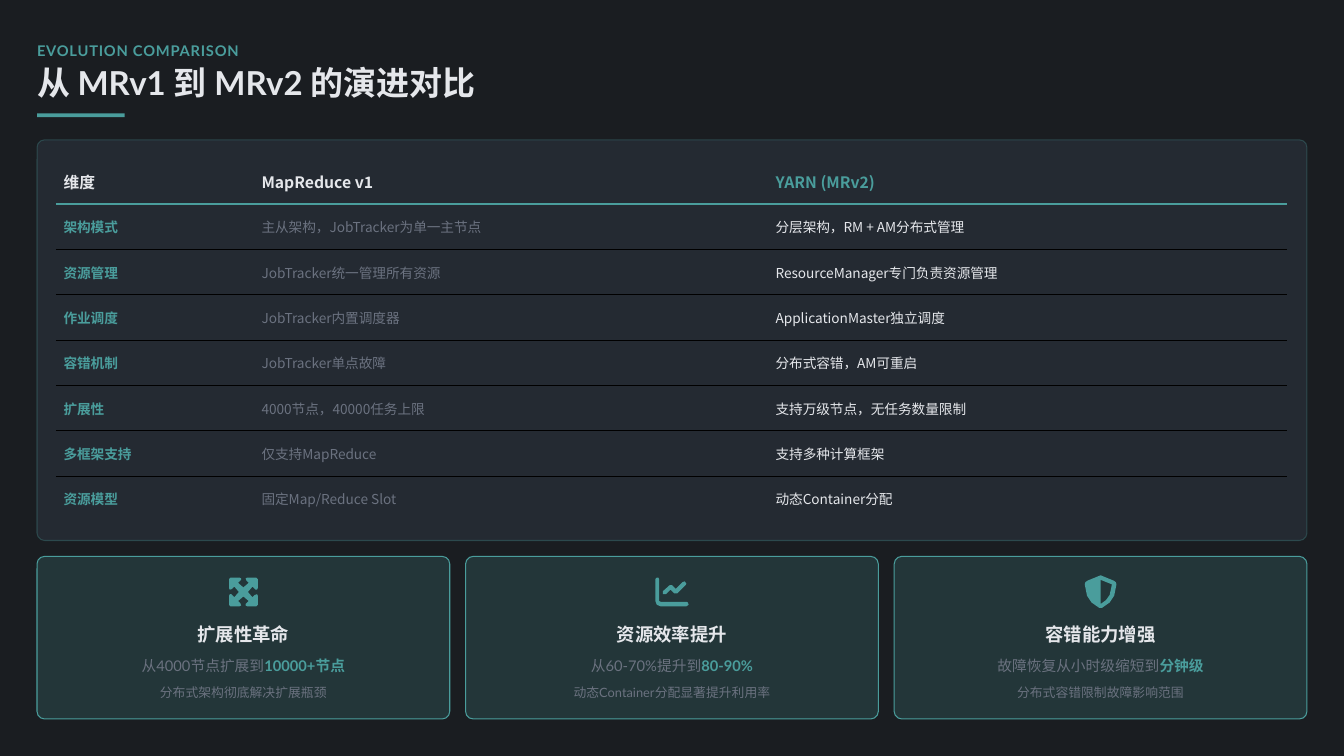
from typing import NamedTuple

from lxml import etree
from pptx import Presentation
from pptx.dml.color import RGBColor
from pptx.enum.shapes import MSO_SHAPE
from pptx.enum.text import MSO_ANCHOR, MSO_AUTO_SIZE, PP_ALIGN
from pptx.oxml.ns import qn
from pptx.util import Inches, Pt

ROUNDED, RECTANGLE = MSO_SHAPE.ROUNDED_RECTANGLE, MSO_SHAPE.RECTANGLE
MIDDLE, FIXED_SIZE = MSO_ANCHOR.MIDDLE, MSO_AUTO_SIZE.NONE
LEFT, CENTER = PP_ALIGN.LEFT, PP_ALIGN.CENTER

COLORS = {
    "background": "1A1D21", "panel": "3D4A5C", "teal": "4A9D9C",
    "light": "E5E7EB", "muted": "6B7280", "rule": "000000",
}
LATIN, CHINESE = "Lato", "Noto Sans CJK SC"
MARGIN, CONTENT_WIDTH = 0.49, 16.8
CARD_WIDTH, CARD_STEP, CARD_TOP = 5.46, 5.67, 7.36

Contour = list[tuple[float, float]]


class Style(NamedTuple):
    size: float
    color: str
    bold: bool = False
    font: str = LATIN


class Span(NamedTuple):
    text: str
    style: Style


class Card(NamedTuple):
    heading: str
    change: str
    result: str
    note: str
    icon: list[Contour]


EYEBROW = Style(14, "teal", True)
TITLE = Style(31.4, "light", True)
HEADING = Style(17.5, "light", True)
CHANGE = Style(14, "muted")
RESULT = Style(14, "teal", True)
NOTE = Style(12.2, "muted")
HEADER_STYLES = [Style(15, color, True, CHINESE) for color in ("light", "light", "teal")]
BODY_STYLES = [
    Style(13, "teal", True, CHINESE),
    Style(13, "muted", False, CHINESE),
    Style(13, "light", False, CHINESE),
]

ROWS = [
    ("维度", "MapReduce v1", "YARN (MRv2)"),
    ("架构模式", "主从架构，JobTracker为单一主节点", "分层架构，RM + AM分布式管理"),
    ("资源管理", "JobTracker统一管理所有资源", "ResourceManager专门负责资源管理"),
    ("作业调度", "JobTracker内置调度器", "ApplicationMaster独立调度"),
    ("容错机制", "JobTracker单点故障", "分布式容错，AM可重启"),
    ("扩展性", "4000节点，40000任务上限", "支持万级节点，无任务数量限制"),
    ("多框架支持", "仅支持MapReduce", "支持多种计算框架"),
    ("资源模型", "固定Map/Reduce Slot", "动态Container分配"),
]
COLUMN_WIDTHS = (2.62, 6.8, 6.87)

# Icon contours are in inches from the icon's centre.
ARROW_ARM = [(0, -0.06), (-0.07, -0.12), (-0.03, -0.16), (-0.03, -0.18), (-0.05, -0.19),
             (-0.17, -0.19), (-0.19, -0.17), (-0.19, -0.05), (-0.18, -0.03),
             (-0.15, -0.04), (-0.12, -0.07)]
EXPAND = [ARROW_ARM
          + [(y, -x) for x, y in ARROW_ARM]
          + [(-x, -y) for x, y in ARROW_ARM]
          + [(-y, x) for x, y in ARROW_ARM]]
CHART = [
    [(-0.17, -0.17), (-0.18, -0.19), (-0.2, -0.19), (-0.22, -0.17), (-0.22, 0.12),
     (-0.2, 0.17), (-0.15, 0.19), (0.19, 0.19), (0.22, 0.17), (0.21, 0.14),
     (0.19, 0.13), (-0.15, 0.13), (-0.17, 0.12)],
    [(0.18, -0.09), (0.19, -0.11), (0.17, -0.14), (0.14, -0.13), (0.05, -0.04),
     (0, -0.09), (-0.03, -0.09), (-0.12, -0.01), (-0.12, 0.03), (-0.08, 0.03),
     (-0.02, -0.03), (0.03, 0.02), (0.07, 0.02)],
]
SHIELD = [
    [(0, -0.22), (0.17, -0.15), (0.2, -0.13), (0.21, -0.1), (0.18, 0.05), (0.12, 0.14),
     (0.02, 0.21), (-0.02, 0.21), (-0.12, 0.14), (-0.18, 0.05), (-0.21, -0.1),
     (-0.2, -0.13), (-0.17, -0.15)],
    [(0, -0.16), (0, 0.16), (0.07, 0.11), (0.12, 0.04), (0.15, -0.1)],
]
CARDS = [
    Card("扩展性革命", "从4000节点扩展到", "10000+节点", "分布式架构彻底解决扩展瓶颈", EXPAND),
    Card("资源效率提升", "从60-70%提升到", "80-90%", "动态Container分配显著提升利用率", CHART),
    Card("容错能力增强", "故障恢复从小时级缩短到", "分钟级", "分布式容错限制故障影响范围", SHIELD),
]


def rgb(name: str) -> RGBColor:
    return RGBColor.from_string(COLORS[name])


def write_para(para, spans: list[Span], align=LEFT, spacing: float = 1.0) -> None:
    para.alignment, para.line_spacing = align, spacing
    for span in spans:
        run = para.add_run()
        run.text = span.text
        style = span.style
        for name, value in {"size": Pt(style.size), "bold": style.bold, "name": style.font}.items():
            setattr(run.font, name, value)
        run.font.color.rgb = rgb(style.color)
        etree.SubElement(run.font._element, qn("a:ea"), typeface=CHINESE)


def write_box(box, spans: list[Span], align=LEFT, spacing: float = 1.0) -> None:
    frame = box.text_frame
    settings = {"word_wrap": True, "auto_size": FIXED_SIZE, "vertical_anchor": MIDDLE,
                "margin_left": 0, "margin_right": 0, "margin_top": 0, "margin_bottom": 0}
    for name, value in settings.items():
        setattr(frame, name, value)
    write_para(frame.paragraphs[0], spans, align, spacing)


def add_text(slide, left: float, top: float, width: float, height: float,
             spans: list[Span], align=LEFT, spacing: float = 1.2):
    box = slide.shapes.add_textbox(Inches(left), Inches(top), Inches(width), Inches(height))
    write_box(box, spans, align, spacing)
    return box


def set_alpha(fill_format, percent: int) -> None:
    color = fill_format._xPr.find(f"{qn('a:solidFill')}/{qn('a:srgbClr')}")
    etree.SubElement(color, qn("a:alpha"), val=str(percent * 1000))


def add_panel(slide, left: float, top: float, width: float, height: float,
              color: str, fill_alpha: int, line_alpha: int = 100) -> None:
    panel = slide.shapes.add_shape(ROUNDED, Inches(left), Inches(top), Inches(width), Inches(height))
    panel.adjustments[0] = 0.1 / min(width, height)
    panel.shadow.inherit = False
    panel.fill.solid()
    panel.fill.fore_color.rgb = rgb(color)
    set_alpha(panel.fill, fill_alpha)
    panel.line.color.rgb = rgb("teal")
    panel.line.width = Pt(1)
    set_alpha(panel.line.fill, line_alpha)


def paint_plain(shape) -> None:
    """Fill a shape teal, with no outline or shadow."""
    shape.shadow.inherit = False
    shape.fill.solid()
    shape.fill.fore_color.rgb = rgb("teal")
    shape.line.fill.background()


def add_icon(slide, center_x: float, center_y: float, contours: list[Contour]) -> None:
    placed = [[(Inches(center_x + x), Inches(center_y + y)) for x, y in contour]
              for contour in contours]
    builder = slide.shapes.build_freeform(*placed[0][0], scale=1.0)
    builder.add_line_segments(placed[0][1:], close=True)
    for contour in placed[1:]:
        builder.move_to(*contour[0])
        builder.add_line_segments(contour[1:], close=True)
    paint_plain(builder.convert_to_shape())


def set_border(cell, side: str, color: str | None = None, width: float = 1) -> None:
    line = etree.SubElement(cell._tc.get_or_add_tcPr(), qn(f"a:ln{side}"), w=str(Pt(width)))
    if color is None:
        etree.SubElement(line, qn("a:noFill"))
    else:
        fill = etree.SubElement(line, qn("a:solidFill"))
        etree.SubElement(fill, qn("a:srgbClr"), val=COLORS[color])


def add_comparison(slide) -> None:
    frame = slide.shapes.add_table(len(ROWS), len(COLUMN_WIDTHS), Inches(0.74), Inches(2.1),
                                   Inches(sum(COLUMN_WIDTHS)), Inches(0.6 * len(ROWS)))
    table = frame.table
    table.first_row = table.horz_banding = False
    for column, width in zip(table.columns, COLUMN_WIDTHS):
        column.width = Inches(width)
    rules = [(None, 1), ("teal", 2)] + [("rule", 1)] * (len(ROWS) - 2) + [(None, 1)]
    for row_index, texts in enumerate(ROWS):
        styles = BODY_STYLES if row_index else HEADER_STYLES
        for column_index, (text, style) in enumerate(zip(texts, styles)):
            cell = table.cell(row_index, column_index)
            cell.vertical_anchor = MIDDLE
            write_para(cell.text_frame.paragraphs[0], [Span(text, style)])
            set_border(cell, "L")
            set_border(cell, "R")
            set_border(cell, "T", *rules[row_index])
            set_border(cell, "B", *rules[row_index + 1])
            cell.fill.background()


def add_card(slide, left: float, card: Card) -> None:
    add_panel(slide, left, CARD_TOP, CARD_WIDTH, 2.15, "teal", 20)
    add_icon(slide, left + CARD_WIDTH / 2, CARD_TOP + 0.47, card.icon)
    lines = [
        (0.83, 0.34, 1.2, [Span(card.heading, HEADING)]),
        (1.27, 0.29, 1.3, [Span(card.change, CHANGE), Span(card.result, RESULT)]),
        (1.66, 0.24, 1.2, [Span(card.note, NOTE)]),
    ]
    for offset, height, spacing, spans in lines:
        add_text(slide, left + 0.2, CARD_TOP + offset, CARD_WIDTH - 0.4, height, spans, CENTER, spacing)


def main() -> None:
    deck = Presentation()
    deck.slide_width, deck.slide_height = Inches(17.78), Inches(10)
    slide = deck.slides.add_slide(deck.slide_layouts[5])
    slide.background.fill.solid()
    slide.background.fill.fore_color.rgb = rgb("background")

    eyebrow = add_text(slide, MARGIN, 0.49, 16.9, 0.29, [Span("EVOLUTION COMPARISON", EYEBROW)], spacing=1.3)
    eyebrow.text_frame.paragraphs[0].runs[0].font._element.set("spc", "70")
    title = slide.shapes.title
    title.left, title.top, title.width, title.height = map(Inches, (MARGIN, 0.87, 17.03, 0.49))
    write_box(title, [Span("从 MRv1 到 MRv2 的演进对比", TITLE)], spacing=0.9)
    paint_plain(slide.shapes.add_shape(RECTANGLE, *map(Inches, (MARGIN, 1.5, 1.16, 0.05))))

    add_panel(slide, MARGIN, 1.85, CONTENT_WIDTH, 5.3, "panel", 30, 30)
    add_comparison(slide)
    for index, card in enumerate(CARDS):
        add_card(slide, MARGIN + index * CARD_STEP, card)
    deck.save("out.pptx")


if __name__ == "__main__":
    main()
